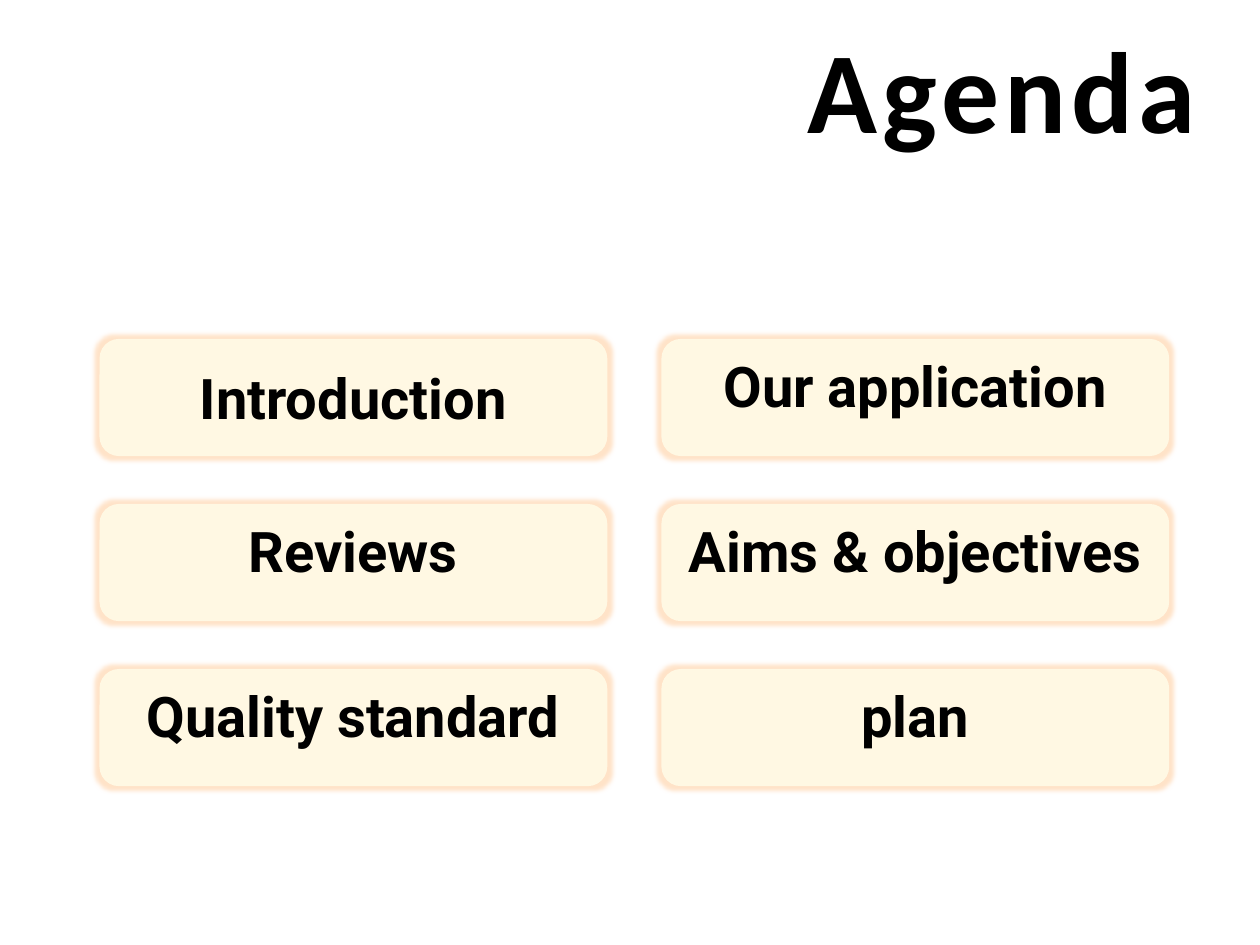
import pptx
import pptx.dml.color
import pptx.enum.shapes
import pptx.enum.text
import pptx.oxml
import pptx.oxml.ns
import pptx.util
from pptx.util import Inches

INK = "000000"
CARD_FILL = "FFF8E3"
CARD_GLOW = "FFE3C8"
TOPIC_COLUMNS = [
    ["Introduction", "Reviews", "Quality standard"],
    ["Our application", "Aims & objectives", "plan"],
]


def rgb(hex_color):
    return pptx.dml.color.RGBColor.from_string(hex_color)


def add_bold_run(paragraph, text, font_name, size):
    run = paragraph.add_run()
    run.text = text
    run.font.name = font_name
    run.font.size = pptx.util.Pt(size)
    run.font.bold = True
    run.font.color.rgb = rgb(INK)
    return run


def add_glow(card, color, radius):
    """Put a soft coloured edge in the card's empty effect list."""
    effects = card._element.spPr.find(pptx.oxml.ns.qn("a:effectLst"))
    effects.append(pptx.oxml.parse_xml(
        f'<a:glow {pptx.oxml.ns.nsdecls("a")} rad="{int(radius)}">'
        f'<a:srgbClr val="{color}"/></a:glow>'))


def place_title(slide, left, top, width, height):
    title = slide.shapes.title
    title.left, title.top, title.width, title.height = left, top, width, height
    frame = title.text_frame
    frame.word_wrap = False
    frame.auto_size = pptx.enum.text.MSO_AUTO_SIZE.SHAPE_TO_FIT_TEXT
    frame.vertical_anchor = pptx.enum.text.MSO_ANCHOR.TOP
    heading = frame.paragraphs[0]
    heading.alignment = pptx.enum.text.PP_ALIGN.LEFT
    run = add_bold_run(heading, "Agenda", "Calibri", 66)
    run.font._element.set("spc", "300")


def add_topic_card(slide, topic, raised, left, top, width, height):
    """Add one card; a raised topic sits a little above the middle."""
    card = slide.shapes.add_shape(
        pptx.enum.shapes.MSO_SHAPE.ROUNDED_RECTANGLE, left, top, width, height)
    card.shadow.inherit = False
    add_glow(card, CARD_GLOW, pptx.util.Pt(5))
    card.fill.solid()
    card.fill.fore_color.rgb = rgb(CARD_FILL)
    card.line.fill.background()
    frame = card.text_frame
    frame.word_wrap = True
    frame.vertical_anchor = pptx.enum.text.MSO_ANCHOR.MIDDLE
    if raised:
        frame.margin_bottom = Inches(0.24)
    label = frame.paragraphs[0]
    label.alignment = pptx.enum.text.PP_ALIGN.CENTER
    add_bold_run(label, topic, "Roboto", 32)


def add_topic_grid(slide, left, top, width, height):
    card_width, card_height = Inches(4.03), Inches(0.93)
    column_step = width - card_width
    row_step = (height - card_height) // (len(TOPIC_COLUMNS[0]) - 1)
    for column, topics in enumerate(TOPIC_COLUMNS):
        for row, topic in enumerate(topics):
            add_topic_card(slide, topic, topic != "Introduction",
                           left + column * column_step, top + row * row_step,
                           card_width, card_height)


def main():
    deck = pptx.Presentation()
    deck.slide_width, deck.slide_height = Inches(10), Inches(7.5)
    slide = deck.slides.add_slide(deck.slide_layouts.get_by_name("Title Only"))
    place_title(slide, Inches(6.31), Inches(0.09), Inches(3.52), Inches(1.21))
    add_topic_grid(slide, Inches(0.79), Inches(2.69), Inches(8.49), Inches(3.55))
    deck.save("out.pptx")


if __name__ == "__main__":
    main()
